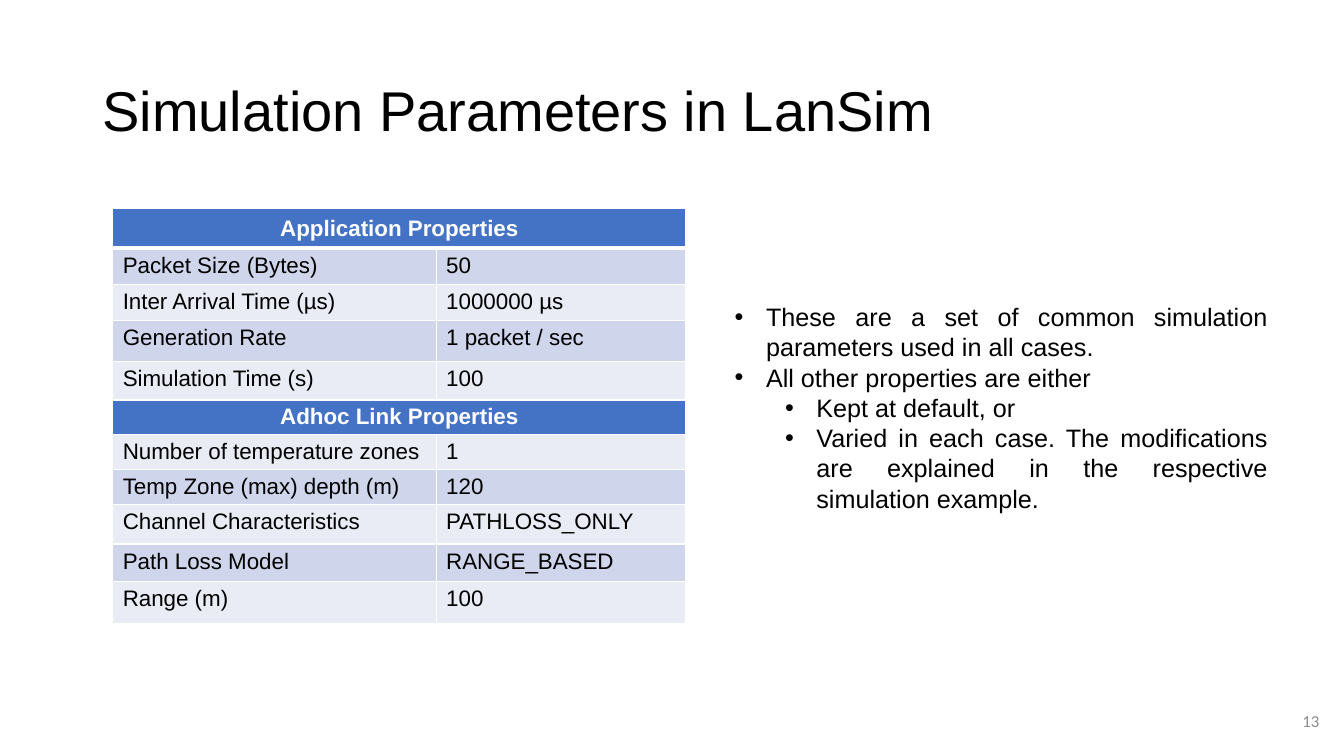
from lxml import etree
from pptx import Presentation
from pptx.dml.color import RGBColor
from pptx.enum.text import MSO_ANCHOR, MSO_AUTO_SIZE, PP_ALIGN
from pptx.oxml.ns import qn
from pptx.util import Cm, Pt

LEFT, CENTER, RIGHT, JUSTIFY = PP_ALIGN.LEFT, PP_ALIGN.CENTER, PP_ALIGN.RIGHT, PP_ALIGN.JUSTIFY
MIDDLE = MSO_ANCHOR.MIDDLE
NO_AUTOFIT = MSO_AUTO_SIZE.NONE

BLACK, WHITE, GREY = "000000", "FFFFFF", "8C8C8C"
HEADER_FILL = "4472C4"
BAND_FILLS = ("E9EBF5", "CFD5EA")

COLUMN_WIDTHS = (8.15, 6.3)
PARAMETERS = [
    (0.99, "Application Properties", None),
    (0.91, "Packet Size (Bytes)", "50"),
    (0.91, "Inter Arrival Time (µs)", "1000000 µs"),
    (1.04, "Generation Rate", "1 packet / sec"),
    (0.97, "Simulation Time (s)", "100"),
    (0.86, "Adhoc Link Properties", None),
    (0.89, "Number of temperature zones", "1"),
    (0.89, "Temp Zone (max) depth (m)", "120"),
    (0.99, "Channel Characteristics", "PATHLOSS_ONLY"),
    (0.94, "Path Loss Model", "RANGE_BASED"),
    (1.07, "Range (m)", "100"),
]
NOTES = [
    (0, "These are a set of common simulation parameters used in all cases."),
    (0, "All other properties are either"),
    (1, "Kept at default, or"),
    (1, "Varied in each case. The modifications are explained "
        "in the respective simulation example."),
]


def rgb(value):
    return RGBColor.from_string(value)


def style(p, size, color, align, font="Arial", bold=False):
    p.alignment = align
    p.font.name = font
    p.font.size = Pt(size)
    p.font.bold = bold
    p.font.color.rgb = rgb(color)


def place(sp, box):
    sp.left, sp.top, sp.width, sp.height = (Cm(v) for v in box)


def add_title(s, box, text):
    sp = s.shapes.title
    place(sp, box)
    tf = sp.text_frame
    tf.text = text
    tf.vertical_anchor = MIDDLE
    tf.auto_size = NO_AUTOFIT
    p = tf.paragraphs[0]
    p.line_spacing = 0.9
    style(p, 40, BLACK, LEFT)


def set_borders(cell, bottom):
    tc_pr = cell._tc.get_or_add_tcPr()
    for side, width in (("L", 1), ("R", 1), ("T", 1), ("B", bottom)):
        ln = etree.SubElement(tc_pr, qn(f"a:ln{side}"), w=str(Pt(width)))
        fill = etree.SubElement(ln, qn("a:solidFill"))
        etree.SubElement(fill, qn("a:srgbClr"), val=WHITE)


def add_parameter_table(s, box):
    left, top, width, height = (Cm(v) for v in box)
    table = s.shapes.add_table(len(PARAMETERS), 2, left, top, width, height).table
    table.first_row = table.horz_banding = False
    for column, column_width in zip(table.columns, COLUMN_WIDTHS):
        column.width = Cm(column_width)
    for i, (row_height, name, value) in enumerate(PARAMETERS):
        table.rows[i].height = Cm(row_height)
        is_header = value is None
        for j, text in enumerate((name, value)):
            cell = table.cell(i, j)
            set_borders(cell, 3 if i == 0 else 1)
            cell.fill.solid()
            cell.fill.fore_color.rgb = rgb(HEADER_FILL if is_header else BAND_FILLS[i % 2])
            if text is None:
                continue
            cell.text = text
            p = cell.text_frame.paragraphs[0]
            if is_header:
                cell.vertical_anchor = MIDDLE
                cell.margin_top = cell.margin_bottom = Cm(0.1)
                style(p, 16, WHITE, CENTER, bold=True)
            else:
                style(p, 16, BLACK, LEFT)
        if is_header:
            table.cell(i, 0).merge(table.cell(i, 1))


def set_bullet(p, indent):
    p_pr = p._p.get_or_add_pPr()
    p_pr.set("marL", str(Cm(indent)))
    p_pr.set("indent", str(Cm(-0.79)))
    bullet_font = etree.Element(qn("a:buFont"), typeface="Arial")
    bullet = etree.Element(qn("a:buChar"), char="•")
    p_pr.insert_element_before(bullet_font, "a:defRPr")
    p_pr.insert_element_before(bullet, "a:defRPr")


def add_notes_list(s, box):
    sp = s.placeholders[1]
    place(sp, box)
    tf = sp.text_frame
    tf.auto_size = NO_AUTOFIT
    for i, (level, text) in enumerate(NOTES):
        p = tf.paragraphs[0] if i == 0 else tf.add_paragraph()
        p.text = text
        p.level = level
        p.space_before = Pt(0)
        style(p, 18, BLACK, JUSTIFY)
        set_bullet(p, 0.79 + 1.27 * level)


def add_slide_number(s, box, number):
    sp = s.shapes.add_textbox(*(Cm(v) for v in box))
    tf = sp.text_frame
    tf.word_wrap = True
    tf.vertical_anchor = MIDDLE
    tf.text = number
    style(tf.paragraphs[0], 12, GREY, RIGHT, font="Calibri")


def main():
    prs = Presentation()
    prs.slide_width, prs.slide_height = Cm(33.87), Cm(19.05)
    s = prs.slides.add_slide(prs.slide_layouts[1])
    add_title(s, (2.33, 1.01, 29.21, 3.68), "Simulation Parameters in LanSim")
    add_parameter_table(s, (2.84, 5.26, 14.45, 10.46))
    add_notes_list(s, (18.26, 7.47, 13.94, 5.64))
    add_slide_number(s, (30.58, 17.65, 2.92, 1.02), "13")
    prs.save("out.pptx")


if __name__ == "__main__":
    main()
